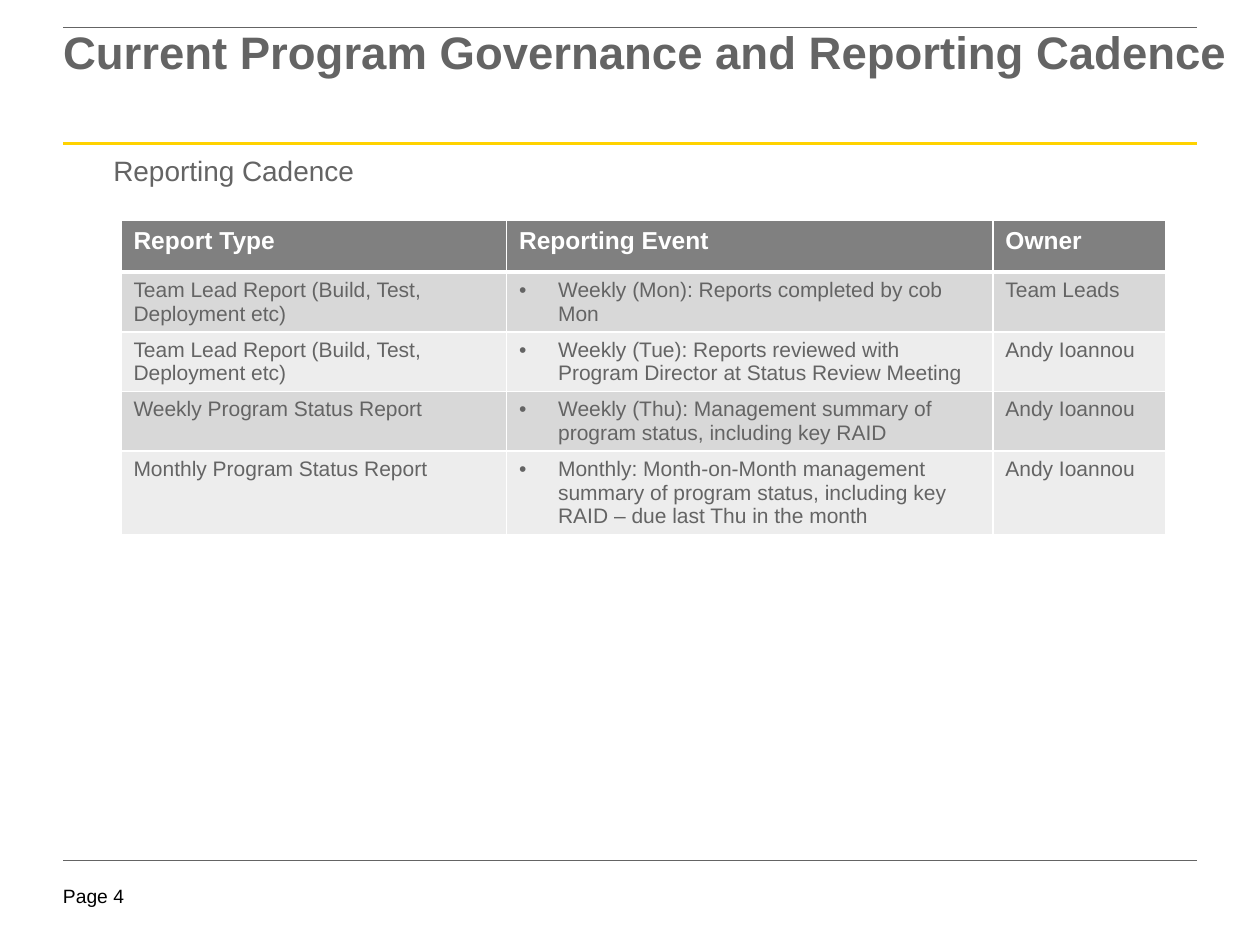
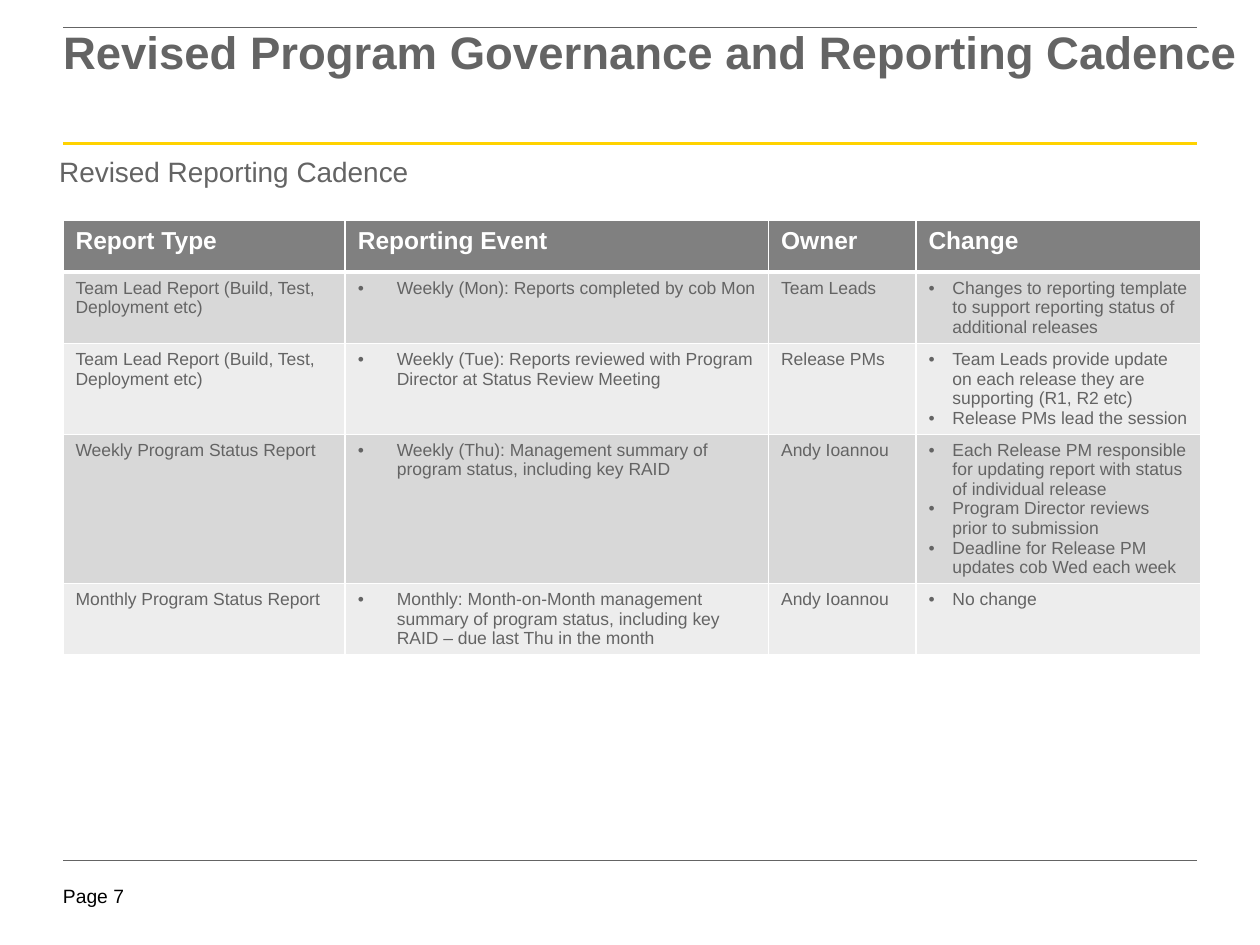
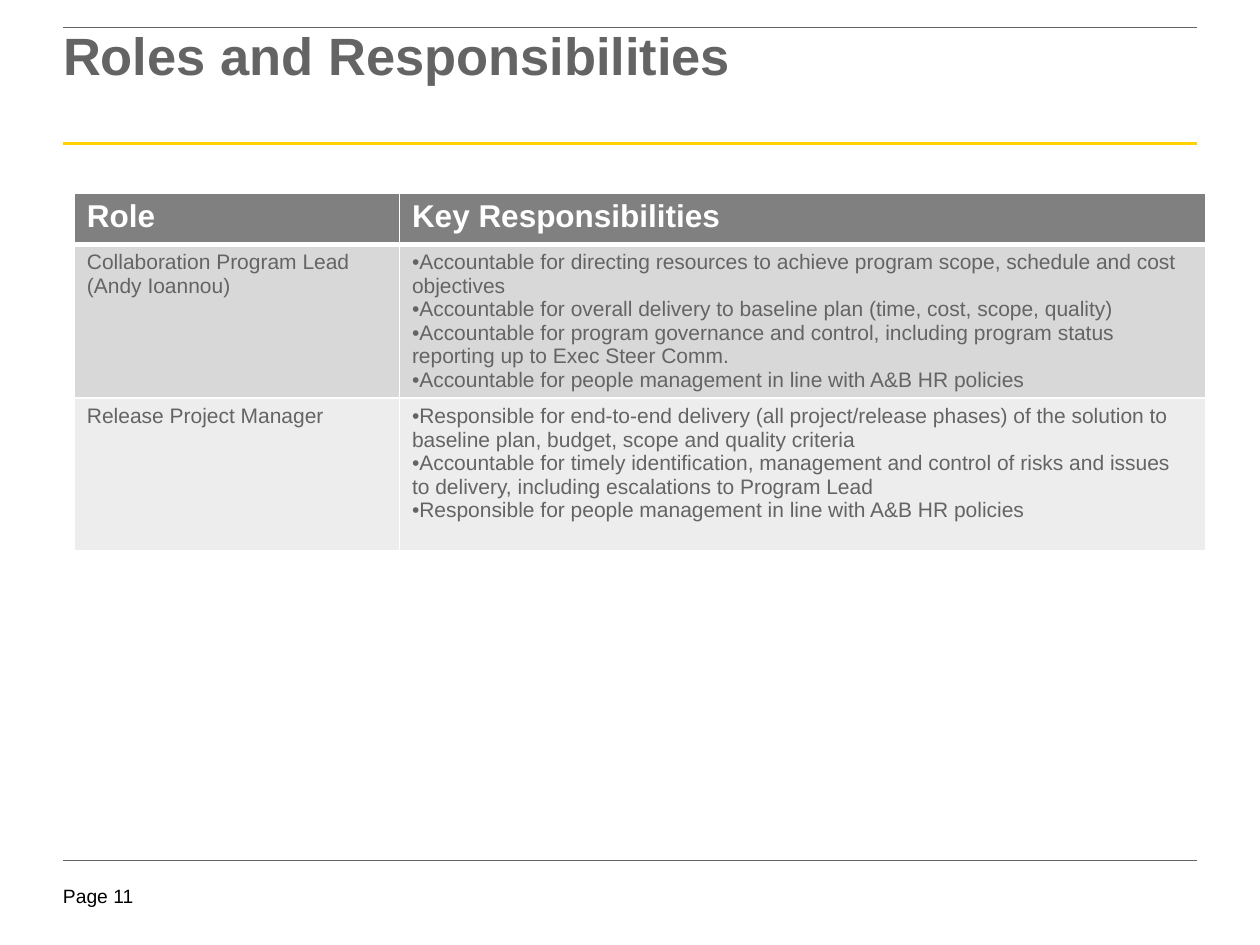
from lxml.etree import SubElement
from pptx import Presentation
from pptx.dml.color import RGBColor
from pptx.enum.shapes import MSO_CONNECTOR
from pptx.enum.text import MSO_ANCHOR, MSO_AUTO_SIZE, PP_ALIGN
from pptx.oxml.ns import qn
from pptx.util import Inches, Pt

FONT = "Arial"
GREY = RGBColor(0x64, 0x64, 0x64)
YELLOW = RGBColor(0xFF, 0xD2, 0x00)
BLACK = RGBColor(0, 0, 0)
WHITE = RGBColor(0xFF, 0xFF, 0xFF)
HEAD = RGBColor(0x80, 0x80, 0x80)
BANDS = [RGBColor(0xD8, 0xD8, 0xD8), RGBColor(0xED, 0xED, 0xED)]

LEFT, RIGHT = 0.5, 9.5
RULES = [(0.22, GREY, 0.5), (1.14, YELLOW, 1.5), (6.83, GREY, 0.25)]
HEAD_HIGH = 0.41

TEAM = "Team Lead Report (Build, Test, Deployment etc)"
REPORTS = [
    (TEAM, "Weekly (Mon): Reports completed by cob Mon"),
    (TEAM, "Weekly (Tue): Reports reviewed with Program Director at "
           "Status Review Meeting"),
    ("Weekly Program Status Report",
     "Weekly (Thu): Management summary of program status, including key RAID"),
    ("Monthly Program Status Report",
     "Monthly: Month-on-Month management summary of program status, "
     "including key RAID – due last Thu in the month"),
]
LEAD = "Andy Ioannou"
OWNERS = ["Team Leads", LEAD, LEAD, LEAD]
NEW_OWNERS = ["Team Leads", "Release PMs", LEAD, LEAD]
CHANGES = [
    ["Changes to reporting template to support reporting status of "
     "additional releases"],
    ["Team Leads provide update on each release they are supporting "
     "(R1, R2 etc)",
     "Release PMs lead the session"],
    ["Each Release PM responsible for updating report with status of "
     "individual release",
     "Program Director reviews prior to submission",
     "Deadline for Release PM updates cob Wed each week"],
    ["No change"],
]
ROLES = [
    (["Collaboration Program Lead", "(Andy Ioannou)"],
     ["Accountable for directing resources to achieve program scope, "
      "schedule and cost objectives",
      "Accountable for overall delivery to baseline plan "
      "(time, cost, scope, quality)",
      "Accountable for program governance and control, including program "
      "status reporting up to Exec Steer Comm.",
      "Accountable for people management in line with A&B HR policies"]),
    ("Release Project Manager",
     ["Responsible for end-to-end delivery (all project/release phases) of "
      "the solution to baseline plan, budget, scope and quality criteria",
      "Accountable for timely identification, management and control of "
      "risks and issues to delivery, including escalations to Program Lead",
      "Responsible for people management in line with A&B HR policies"]),
]


def add_run(para, text, size, color, bold=False):
    run = para.add_run()
    run.text = text
    font = run.font
    font.name, font.size, font.bold = FONT, Pt(size), bold
    font.color.rgb = color


def set_frame(frame, top=0):
    """Fix the size of a text frame and clear its insets, save the top."""
    frame.word_wrap = True
    frame.auto_size = MSO_AUTO_SIZE.NONE
    frame.vertical_anchor = MSO_ANCHOR.TOP
    frame.margin_left = frame.margin_right = frame.margin_bottom = 0
    frame.margin_top = Inches(top)


def add_label(slide, box, text, size, color):
    frame = slide.shapes.add_textbox(*map(Inches, box)).text_frame
    set_frame(frame)
    add_run(frame.paragraphs[0], text, size, color)


def add_rule(slide, y, color, width):
    line = slide.shapes.add_connector(
        MSO_CONNECTOR.STRAIGHT, Inches(LEFT), Inches(y), Inches(RIGHT), Inches(y))
    line.line.color.rgb = color
    line.line.width = Pt(width)
    SubElement(line._element.spPr, qn("a:effectLst"))


def add_page(deck, title, size, width, number):
    """Add a slide with its title, rules and page number."""
    slide = deck.slides.add_slide(deck.slide_layouts[5])
    for rule in RULES:
        add_rule(slide, *rule)
    add_label(slide, (LEFT, 7.02, 0.73, 0.22), f"Page {number}", 11, BLACK)
    head = slide.shapes.title
    head.left, head.top = Inches(LEFT), Inches(0.22)
    head.width, head.height = Inches(width), Inches(0.94)
    set_frame(head.text_frame, 0.04)
    para = head.text_frame.paragraphs[0]
    para.alignment = PP_ALIGN.LEFT
    para.line_spacing = 0.85
    add_run(para, title, size, GREY, True)
    return slide


def set_bullet(para, indent):
    props = para._p.get_or_add_pPr()
    props.set("marL", str(Inches(indent)))
    props.set("indent", str(-Inches(indent)))
    SubElement(props, qn("a:buFont")).set("typeface", FONT)
    SubElement(props, qn("a:buChar")).set("char", "•")


def set_edges(cell, top, bottom):
    """Give a cell white borders; top and bottom are widths in points."""
    props = cell._tc.get_or_add_tcPr()
    for side, width in zip("LRTB", (1, 1, top, bottom)):
        edge = SubElement(props, qn(f"a:ln{side}"))
        edge.set("w", str(Pt(width)))
        fill = SubElement(edge, qn("a:solidFill"))
        SubElement(fill, qn("a:srgbClr")).set("val", str(WHITE))


def fill_cell(cell, text, size, color, back, bold=False, indent=None):
    """Write a line or a list of lines; an indent makes them bullets."""
    cell.fill.solid()
    cell.fill.fore_color.rgb = back
    frame = cell.text_frame
    for i, line in enumerate([text] if isinstance(text, str) else text):
        para = frame.add_paragraph() if i else frame.paragraphs[0]
        if indent is not None:
            set_bullet(para, indent)
        add_run(para, line, size, color, bold)


def add_grid(slide, spot, cols, heights, heads, rows, sizes, indents):
    """Add a table; cols are widths, sizes are for the head and the body."""
    heights = [HEAD_HIGH, *heights]
    box = (*spot, sum(cols), sum(heights))
    table = slide.shapes.add_table(
        len(heights), len(cols), *map(Inches, box)).table
    for col, width in zip(table.columns, cols):
        col.width = Inches(width)
    for r, (height, texts) in enumerate(zip(heights, [heads, *rows])):
        table.rows[r].height = Inches(height)
        for c, text in enumerate(texts):
            cell = table.cell(r, c)
            set_edges(cell, 3 if r == 1 else 1, 3 if r == 0 else 1)
            if r == 0:
                fill_cell(cell, text, sizes[0], WHITE, HEAD, True)
            else:
                fill_cell(cell, text, sizes[1], GREY, BANDS[(r - 1) % 2],
                          indent=indents[c])


def add_current(deck):
    slide = add_page(
        deck, "Current Program Governance and Reporting Cadence", 26, 9.33, 4)
    add_label(slide, (0.9, 1.22, 8.5, 0.3), "Reporting Cadence", 16, GREY)
    rows = [(*report, owner) for report, owner in zip(REPORTS, OWNERS)]
    add_grid(slide, (0.96, 1.75), [3.06, 3.86, 1.37], [0.47, 0.47, 0.47, 0.66],
             ["Report Type", "Reporting Event", "Owner"], rows,
             (14, 12), [None, 0.31, None])


def add_revised(deck):
    slide = add_page(
        deck, "Revised Program Governance and Reporting Cadence", 26, 9.33, 7)
    add_label(slide, (0.47, 1.23, 8.5, 0.3), "Revised Reporting Cadence", 16, GREY)
    rows = [(*report, owner, change) for report, owner, change
            in zip(REPORTS, NEW_OWNERS, CHANGES)]
    add_grid(slide, (0.5, 1.75), [2.24, 3.36, 1.17, 2.26],
             [0.56, 0.72, 1.18, 0.56],
             ["Report Type", "Reporting Event", "Owner", "Change"], rows,
             (14, 10), [None, 0.31, None, 0.19])


def add_roles(deck):
    slide = add_page(deck, "Roles and Responsibilities", 30, 9, 11)
    add_grid(slide, (0.59, 1.53), [2.58, 6.4], [1.21, 1.21],
             ["Role", "Key Responsibilities"], ROLES, (18, 12), [None, 0])


def main():
    deck = Presentation()
    deck.slide_width, deck.slide_height = Inches(10), Inches(7.5)
    add_current(deck)
    add_revised(deck)
    add_roles(deck)
    deck.save("out.pptx")


if __name__ == "__main__":
    main()
